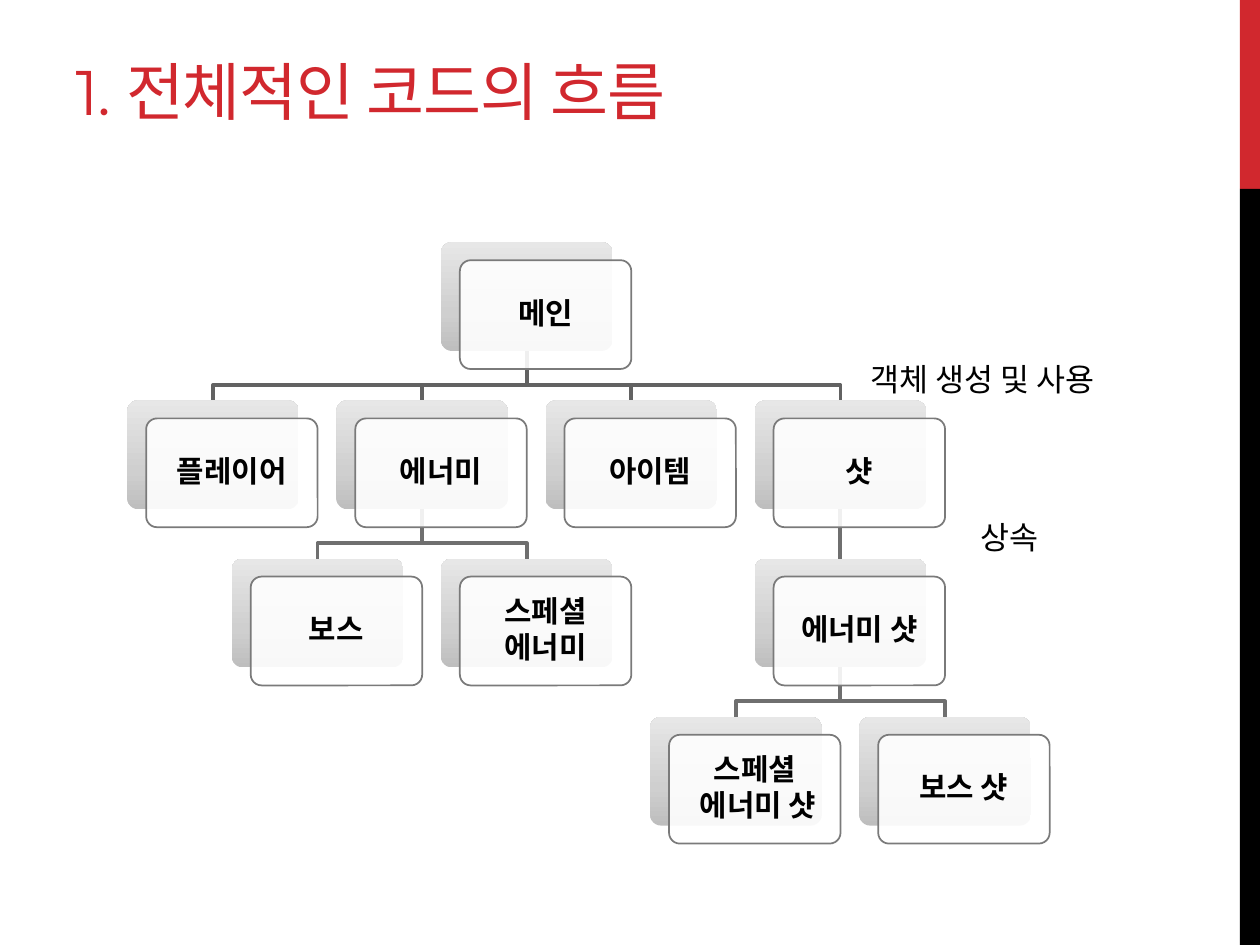
from copy import deepcopy

from lxml import etree
from pptx import Presentation
from pptx import util as u
from pptx.dml.color import RGBColor
from pptx.enum import shapes, text
from pptx.oxml.ns import qn

Pt = u.Pt
TITLE = "1. 전체적인 코드의 흐름"
# key: (lines, column in half steps, row, parent)
NODES = {
    "main": (["메인"], 3, 0, None),
    "player": (["플레이어"], 0, 1, "main"),
    "enemy": (["에너미"], 2, 1, "main"),
    "boss": (["보스"], 1, 2, "enemy"),
    "special": (["스페셜", "에너미"], 3, 2, "enemy"),
    "item": (["아이템"], 4, 1, "main"),
    "shot": (["샷"], 6, 1, "main"),
    "enemy_shot": (["에너미 샷"], 6, 2, "shot"),
    "special_shot": (["스페셜", " 에너미 샷"], 5, 3, "enemy_shot"),
    "boss_shot": (["보스 샷"], 7, 3, "enemy_shot"),
}
LABELS = [("객체 생성 및 사용", 490.3, 202.3, 175.7), ("상속", 553, 292.3, 56.9)]
BARS = [("red", 0, 108), ("black", 108, 432)]
COLORS = {
    "red": "D1282E", "black": "000000", "card": "FFFFFF", "edge": "7A7A7A",
    "root_link": "626262", "link": "6F6F6F",
}
GRADIENT = [(0, "BEBEBE"), (0.35, "CFCFCF"), (1, "E7E7E7")]
LEFT, TOP, STEP_X, STEP_Y = 72.7, 138.4, 59.76, 90.4
CARD_W, CARD_H, SHIFT_X, SHIFT_Y, BEND = 98, 62.2, 10.8, 10.3, 19.4


def rgb(name):
    """Return a colour of the palette."""
    return RGBColor.from_string(COLORS[name])


def add_text(para, words, font, size, color="black", bold=False):
    """Add one formatted run to a paragraph."""
    span = para.add_run()
    span.text = words
    span.font.name, span.font.size, span.font.bold = font, Pt(size), bold
    span.font.color.rgb = rgb(color)
    return span


def add_box(slide, kind, left, top, width, height):
    """Add a preset shape without shadow or line."""
    box = slide.shapes.add_shape(kind, Pt(left), Pt(top), Pt(width), Pt(height))
    box.shadow.inherit = False
    box.line.fill.background()
    return box


def corner(key):
    """Return the left and top of a node's back card."""
    _, column, row, _ = NODES[key]
    return LEFT + column * STEP_X, TOP + row * STEP_Y


def add_link(slide, parent, child):
    """Draw the line from a parent's bottom to a child's top."""
    (x1, y1), (x2, y2) = corner(parent), corner(child)
    x1, x2, y1 = x1 + CARD_W / 2, x2 + CARD_W / 2, y1 + CARD_H
    if x1 == x2:
        link = slide.shapes.add_connector(
            shapes.MSO_CONNECTOR.STRAIGHT, Pt(x1), Pt(y1), Pt(x2), Pt(y2))
        etree.SubElement(link._element.spPr, qn("a:effectLst"))
    else:
        builder = slide.shapes.build_freeform(Pt(x1), Pt(y1))
        bends = [(x1, y1 + BEND), (x2, y1 + BEND), (x2, y2)]
        builder.add_line_segments([(Pt(x), Pt(y)) for x, y in bends], close=False)
        link = builder.convert_to_shape()
        link.fill.background()
        link.shadow.inherit = False
    link.line.color.rgb = rgb("root_link" if parent == "main" else "link")
    link.line.width = Pt(2.25)


def shade(box):
    """Fill a back card with the grey gradient, dark at the bottom."""
    box.fill.gradient()
    box.fill.gradient_angle = 90
    stops = box._element.spPr.find(".//" + qn("a:gsLst"))
    stops.append(deepcopy(stops[0]))
    for stop, (position, color) in zip(box.fill.gradient_stops, GRADIENT):
        stop.position = position
        stop.color.rgb = RGBColor.from_string(color)


def add_node(slide, key):
    """Draw a node: a shaded back card and a text card in front."""
    left, top = corner(key)
    kind = shapes.MSO_SHAPE.ROUNDED_RECTANGLE
    back = add_box(slide, kind, left, top, CARD_W, CARD_H)
    front = add_box(slide, kind, left + SHIFT_X, top + SHIFT_Y, CARD_W, CARD_H)
    back.adjustments[0] = front.adjustments[0] = 0.1
    shade(back)
    front.fill.solid()
    front.fill.fore_color.rgb = rgb("card")
    color = front._element.spPr.find(qn("a:solidFill"))[0]
    etree.SubElement(color, qn("a:alpha"), val="90000")
    front.line.color.rgb = rgb("edge")
    front.line.width = Pt(1)
    frame = front.text_frame
    frame.word_wrap = True
    frame.vertical_anchor = text.MSO_ANCHOR.MIDDLE
    frame.margin_left = frame.margin_right = Pt(5)
    frame.margin_top = frame.margin_bottom = Pt(5)
    for index, line in enumerate(NODES[key][0]):
        para = frame.add_paragraph() if index else frame.paragraphs[0]
        para.alignment = text.PP_ALIGN.CENTER
        para.line_spacing = 0.9
        para.space_after = Pt(2)
        add_text(para, line, "Arial", 17, bold=True)


def add_title(slide):
    """Place and format the title placeholder."""
    title = slide.shapes.title
    title.left, title.top, title.width, title.height = Pt(36), Pt(12), Pt(456), Pt(108)
    frame = title.text_frame
    frame.auto_size = text.MSO_AUTO_SIZE.NONE
    frame.vertical_anchor = text.MSO_ANCHOR.BOTTOM
    frame.margin_bottom = Pt(47)
    para = frame.paragraphs[0]
    para.alignment = text.PP_ALIGN.LEFT
    span = add_text(para, TITLE, "Montserrat", 36, "red")
    span.font._element.set("spc", "-60")


def add_label(slide, words, left, top, width):
    """Add a free label beside the tree."""
    box = slide.shapes.add_textbox(Pt(left), Pt(top), Pt(width), Pt(29))
    box.text_frame.word_wrap = True
    add_text(box.text_frame.paragraphs[0], words, "Arial", 18)


deck = Presentation()
deck.slide_width, deck.slide_height = Pt(720), Pt(540)
page = deck.slides.add_slide(deck.slide_layouts[5])
for color, top, height in BARS:
    bar = add_box(page, shapes.MSO_SHAPE.RECTANGLE, 708.5, top, 11.5, height)
    bar.fill.solid()
    bar.fill.fore_color.rgb = rgb(color)
add_title(page)
for key, node in NODES.items():
    if node[3]:
        add_link(page, node[3], key)
for key in NODES:
    add_node(page, key)
for label in LABELS:
    add_label(page, *label)
deck.save("out.pptx")
